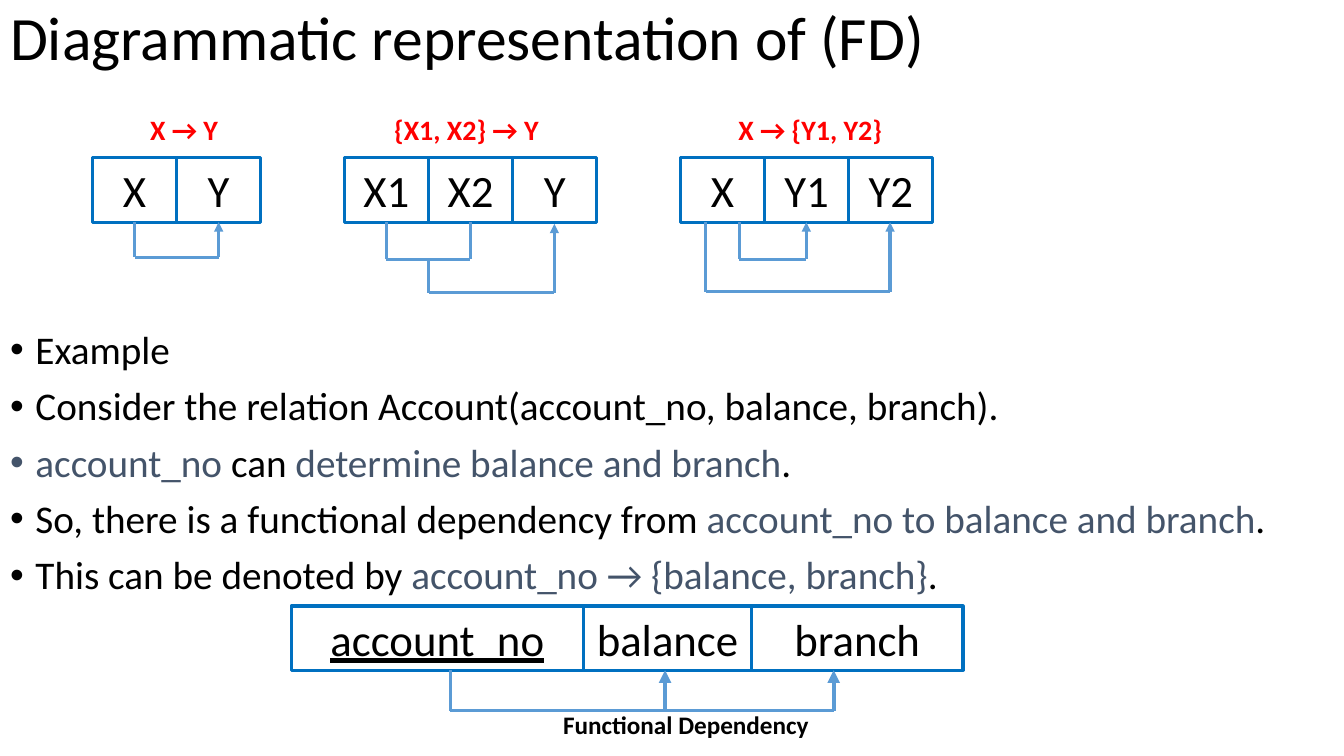
import pptx
import pptx.util
import pptx.dml.color
import pptx.enum.shapes
import pptx.enum.text
import pptx.oxml
import pptx.oxml.ns
import lxml.etree

Cm, Pt = pptx.util.Cm, pptx.util.Pt
RGBColor = pptx.dml.color.RGBColor
PP_ALIGN = pptx.enum.text.PP_ALIGN
qn = pptx.oxml.ns.qn

BLACK = RGBColor(0x00, 0x00, 0x00)
RED = RGBColor(0xFF, 0x00, 0x00)
SLATE = RGBColor(0x44, 0x54, 0x6A)
FRAME = RGBColor(0x00, 0x70, 0xC0)
ARROW = RGBColor(0x5B, 0x9B, 0xD5)

CELL = 2.12
HIGH = 1.62
ROW = 3.98


class Board:
    font = "Calibri"
    weight = 2.25

    def __init__(self, slide):
        self.slide = slide

    def style(self, run, size, color=BLACK, bold=False, under=False):
        run.font.name = self.font
        run.font.size = Pt(size)
        run.font.color.rgb = color
        run.font.bold = bold
        run.font.underline = under

    def place(self, shape, left, top, width, height):
        shape.left, shape.top = Cm(left), Cm(top)
        shape.width, shape.height = Cm(width), Cm(height)
        shape.text_frame.auto_size = pptx.enum.text.MSO_AUTO_SIZE.NONE

    def title(self, text):
        shape = self.slide.shapes.title
        self.place(shape, 0, 0.03, 33.87, 1.98)
        frame = shape.text_frame
        frame.text = text
        frame.vertical_anchor = pptx.enum.text.MSO_ANCHOR.MIDDLE
        para = frame.paragraphs[0]
        para.alignment = PP_ALIGN.LEFT
        para.line_spacing = 0.9
        self.style(para.runs[0], 44)

    def bullets(self, items):
        """Fill the body; each item is a list of (text, color) parts."""
        shape = self.slide.placeholders[1]
        self.place(shape, 0, 8.2, 33.15, 9.86)
        frame = shape.text_frame
        for num, parts in enumerate(items):
            para = frame.add_paragraph() if num else frame.paragraphs[0]
            para.line_spacing = 0.9
            para.space_before = Pt(10)
            props = para._p.get_or_add_pPr()
            props.set("marL", str(Cm(0.64)))
            props.set("indent", str(-Cm(0.64)))
            for text, color in parts:
                run = para.add_run()
                run.text = text
                self.style(run, 28, color)

    def label(self, text, left, top, width, height, size, color):
        shape = self.slide.shapes.add_textbox(
            Cm(left), Cm(top), Cm(width), Cm(height))
        frame = shape.text_frame
        frame.word_wrap = True
        frame.text = text
        frame.paragraphs[0].alignment = PP_ALIGN.CENTER
        self.style(frame.paragraphs[0].runs[0], size, color, bold=True)

    def cells(self, left, top, names, widths, key=None):
        """Draw a row of joined boxes; the key name is underlined."""
        for name, width in zip(names, widths):
            box = self.slide.shapes.add_shape(
                pptx.enum.shapes.MSO_SHAPE.RECTANGLE,
                Cm(left), Cm(top), Cm(width), Cm(HIGH))
            box.shadow.inherit = False
            box.fill.background()
            box.line.color.rgb = FRAME
            box.line.width = Pt(self.weight)
            box.text_frame.word_wrap = True
            box.text_frame.text = name
            para = box.text_frame.paragraphs[0]
            para.alignment = PP_ALIGN.CENTER
            self.style(para.runs[0], 32, under=name == key)
            left += width

    def line(self, start, end, weight=weight, tip=False):
        wire = self.slide.shapes.add_connector(
            pptx.enum.shapes.MSO_CONNECTOR.STRAIGHT,
            *(Cm(value) for value in (*start, *end)))
        wire.line.color.rgb = ARROW
        wire.line.width = Pt(weight)
        props = wire.element.spPr
        if tip:
            tail = lxml.etree.SubElement(props.find(qn("a:ln")), qn("a:tailEnd"))
            tail.set("type", "triangle")
        lxml.etree.SubElement(props, qn("a:effectLst"))

    def hook(self, left, right, top, low, end, weight=weight, tip=True):
        """Run a line down from top, across at low, and up to end."""
        self.line((left, top), (left, low))
        self.line((left, low), (right, low))
        self.line((right, low), (right, end), weight, tip)


def main():
    deck = pptx.Presentation()
    deck.slide_width, deck.slide_height = Cm(33.87), Cm(19.05)
    board = Board(deck.slides.add_slide(deck.slide_layouts[1]))

    board.title("Diagrammatic representation of (FD)")
    board.bullets([
        [("Example", BLACK)],
        [("Consider the relation Account(account_no, balance, branch).", BLACK)],
        [("account_no", SLATE), (" can ", BLACK),
         ("determine balance and branch", SLATE), (".", BLACK)],
        [("So, there is a functional dependency from ", BLACK),
         ("account_no to balance and branch", SLATE), (".", BLACK)],
        [("This can be denoted by ", BLACK),
         ("account_no → {balance, branch}", SLATE), (".", BLACK)],
    ])

    rules = [
        ("X → Y", 3.33, 2.62, 2.33, ["X", "Y"]),
        ("{X1, X2} → Y", 9.6, 4.32, 8.68, ["X1", "X2", "Y"]),
        ("X → {Y1, Y2}", 18.26, 4.32, 17.15, ["X", "Y1", "Y2"]),
    ]
    for text, start, width, left, names in rules:
        board.label(text, start, 2.72, width, 1.12, 20, RED)
        board.cells(left, ROW, names, [CELL] * len(names))

    base = ROW + HIGH
    board.hook(3.39, 5.51, base, 6.48, base)
    board.hook(9.74, 11.85, base, 6.53, base, tip=False)
    board.hook(10.8, 13.97, 6.53, 7.38, 5.64)
    board.hook(17.78, 22.43, base, 7.35, base)
    board.hook(18.63, 20.32, base, 6.53, base)

    board.cells(7.34, 15.27, ["account_no", "balance", "branch"],
                [7.37, 4.23, 5.33], key="account_no")
    board.hook(11.35, 21.01, 16.89, 17.91, 16.89, weight=3)
    board.line((16.76, 17.91), (16.76, 16.89), weight=3, tip=True)
    board.label("Functional Dependency", 13.44, 17.75, 7.7, 1.02, 18, BLACK)

    deck.save("out.pptx")


if __name__ == "__main__":
    main()
